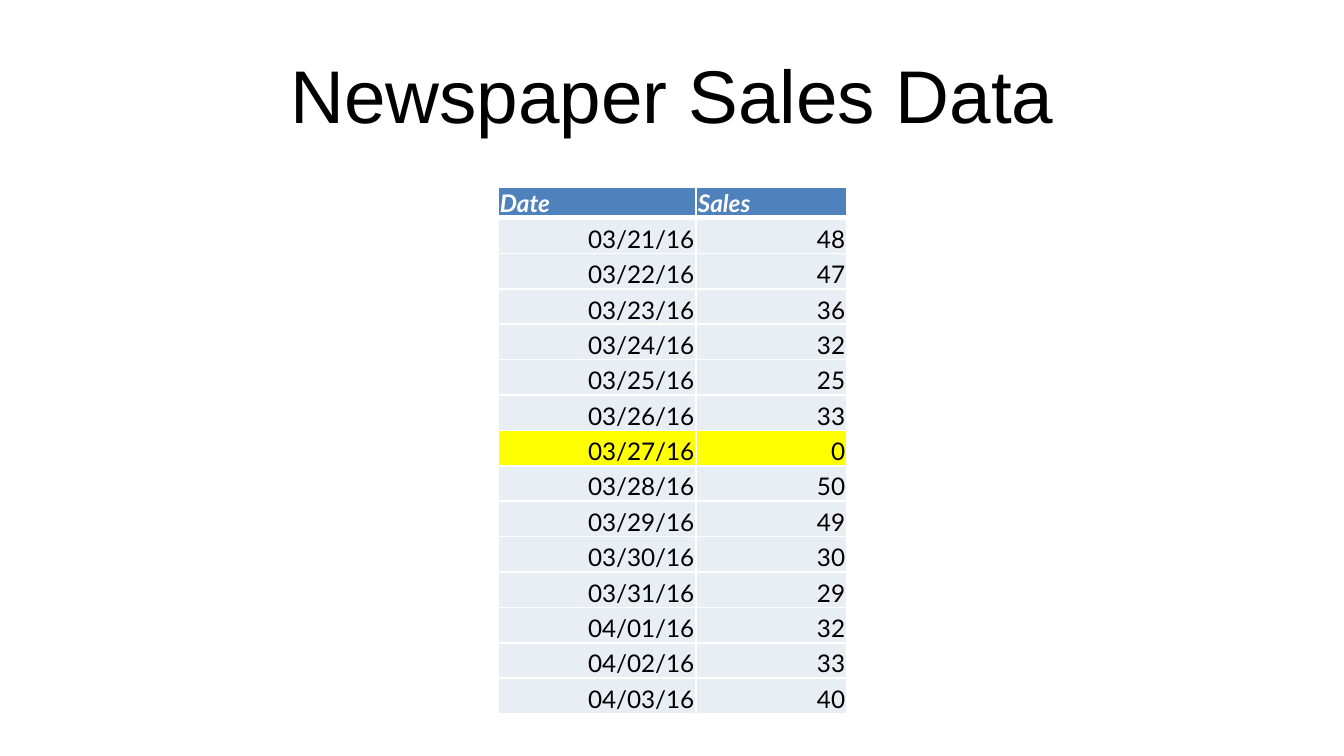
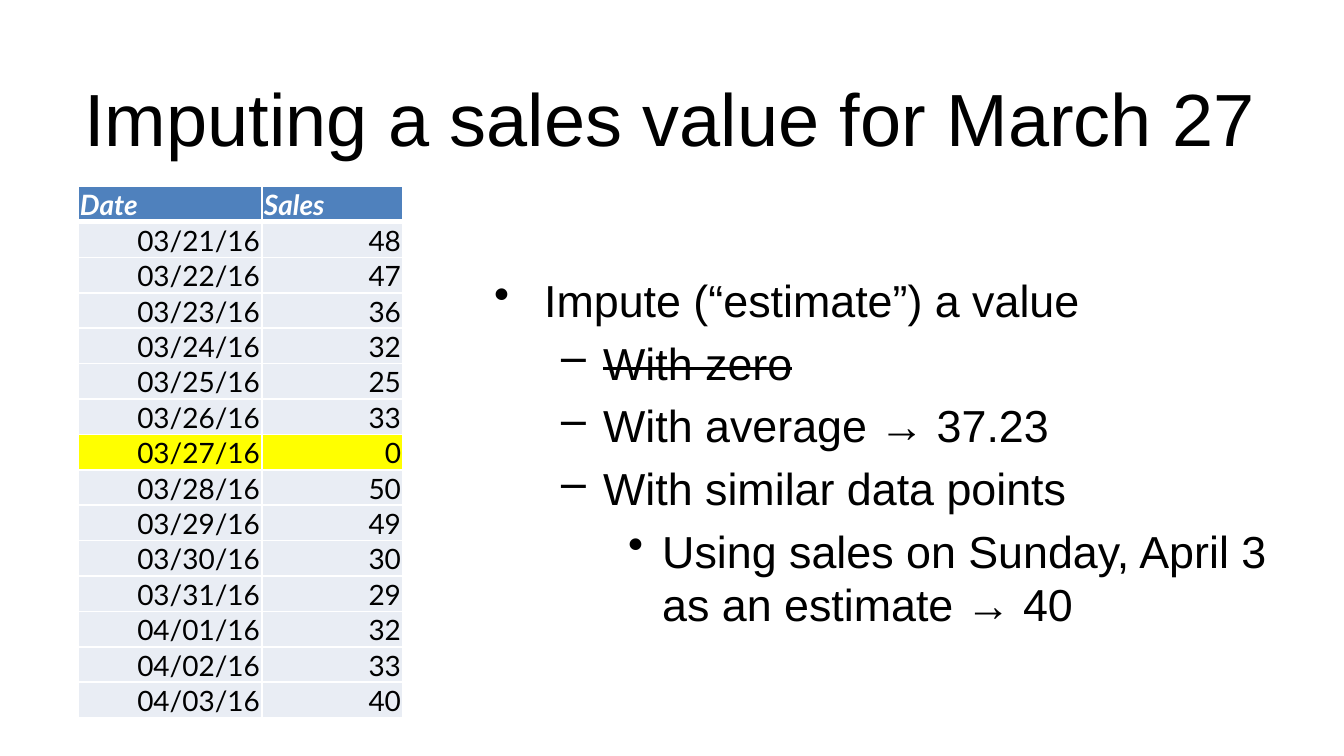
from lxml.etree import SubElement
from pptx import Presentation
from pptx.dml.color import RGBColor
from pptx.enum.text import MSO_ANCHOR, PP_ALIGN
from pptx.oxml import parse_xml
from pptx.oxml.ns import nsdecls, qn
from pptx.util import Emu, Pt

SLIDE_W, SLIDE_H = 1344, 756
SCALE = 9144000 / SLIDE_W
COLORS = {"text": "000000", "white": "FFFFFF", "header": "4F81BD",
          "row": "E9EDF4", "missing": "FFFF00"}
TITLE_W, TITLE_H = 1210, 126
TABLE_BODY_H = 496
# One entry per level: bullet, left margin, hanging indent
LEVELS = [("•", 50, 50), ("–", 109, 42), ("•", 168, 34)]

DATES = [f"03/{day}/16" for day in range(21, 32)] + [f"04/0{day}/16" for day in range(1, 4)]
SALES = [48, 47, 36, 32, 25, 33, 0, 50, 49, 30, 29, 32, 33, 40]


def px(n):
    return Emu(round(n * SCALE))


def rgb(name):
    return RGBColor.from_string(COLORS[name])


def write(p, text, size=24, font="Arial", color="text", bold=False, italic=False,
          strike=False, align=PP_ALIGN.LEFT):
    p.alignment = align
    r = p.add_run()
    r.text = text
    f = r.font
    f.size, f.name, f.bold, f.italic = Pt(size), font, bold, italic
    f.color.rgb = rgb(color)
    if strike:
        r._r.get_or_add_rPr().set("strike", "sngStrike")


def set_bullet(p, level):
    """Give a paragraph the bullet, indent and 20% space before of its level."""
    char, left, hang = LEVELS[level]
    p.level = level
    pPr = p._p.get_or_add_pPr()
    pPr.set("marL", str(px(left)))
    pPr.set("indent", str(-px(hang)))
    before = SubElement(pPr, qn("a:spcBef"))
    SubElement(before, qn("a:spcPct")).set("val", "20000")
    SubElement(pPr, qn("a:buChar")).set("char", char)


def set_borders(cell, top=1, bottom=1):
    """Draw white cell borders; widths are points, sides are one point."""
    tcPr = cell._tc.get_or_add_tcPr()
    for i, (side, width) in enumerate(zip("LRTB", (1, 1, top, bottom))):
        tcPr.insert(i, parse_xml(
            f'<a:ln{side} {nsdecls("a")} w="{Pt(width)}"><a:solidFill>'
            f'<a:srgbClr val="{COLORS["white"]}"/></a:solidFill></a:ln{side}>'))


class Deck:
    """Holds the presentation, its style and the current slide."""

    def __init__(self):
        self.prs = Presentation()
        self.prs.slide_width, self.prs.slide_height = px(SLIDE_W), px(SLIDE_H)
        self.s = None

    def slide(self):
        self.s = self.prs.slides.add_slide(self.prs.slide_layouts[6])
        fill = self.s.background.fill
        fill.solid()
        fill.fore_color.rgb = rgb("white")

    def text_box(self, x, y, w, h, anchor=MSO_ANCHOR.TOP):
        tf = self.s.shapes.add_textbox(px(x), px(y), px(w), px(h)).text_frame
        tf.word_wrap = True
        tf.vertical_anchor = anchor
        return tf

    def title(self, text, x, y, size):
        tf = self.text_box(x, y, TITLE_W, TITLE_H, MSO_ANCHOR.MIDDLE)
        write(tf.paragraphs[0], text, size=size, align=PP_ALIGN.CENTER)

    def bullets(self, x, y, w, h, items):
        tf = self.text_box(x, y, w, h)
        for i, (level, text, strike) in enumerate(items):
            p = tf.add_paragraph() if i else tf.paragraphs[0]
            set_bullet(p, level)
            write(p, text, strike=strike)

    def cell(self, cell, text, fill, top=1, bottom=1, **fmt):
        cell.margin_left = cell.margin_right = px(2)
        cell.margin_top, cell.margin_bottom = px(1), 0
        cell.vertical_anchor = MSO_ANCHOR.BOTTOM
        cell.fill.solid()
        cell.fill.fore_color.rgb = rgb(fill)
        set_borders(cell, top, bottom)
        write(cell.text_frame.paragraphs[0], text, font="Lato", **fmt)

    def sales_table(self, x, y, widths, header_h, size):
        """Add the daily sales, with the day without sales highlighted."""
        sp = self.s.shapes.add_table(len(SALES) + 1, 2, px(x), px(y), px(sum(widths)),
                                     px(header_h + TABLE_BODY_H))
        table = sp.table
        table.first_row = table.horz_banding = False
        for column, width in zip(table.columns, widths):
            column.width = px(width)
        table.rows[0].height = px(header_h)
        for col, name in enumerate(("Date", "Sales")):
            self.cell(table.cell(0, col), name, "header", bottom=3, size=size,
                      color="white", bold=True, italic=True)
        for row, (date, sales) in enumerate(zip(DATES, SALES), 1):
            table.rows[row].height = px(TABLE_BODY_H / len(SALES))
            for col, value in enumerate((date, sales)):
                self.cell(table.cell(row, col), str(value), "row" if sales else "missing",
                          top=3 if row == 1 else 1, size=size, align=PP_ALIGN.RIGHT)


def main():
    deck = Deck()

    deck.slide()
    deck.title("Newspaper Sales Data", 67, 31, 40)
    deck.sales_table(498, 187, (198, 151), 31, 13)

    deck.slide()
    deck.title("Imputing a sales value for March 27", 65, 54, 39.6)
    deck.bullets(481, 266, 817, 406, [
        (0, "Impute (“estimate”) a value", False),
        (1, "With zero", True),
        (1, "With average → 37.23", False),
        (1, "With similar data points", False),
        (2, "Using sales on Sunday, April 3 as an estimate → 40", False),
    ])
    deck.sales_table(78, 186, (184, 141), 36, 15)

    deck.prs.save("out.pptx")


if __name__ == "__main__":
    main()
